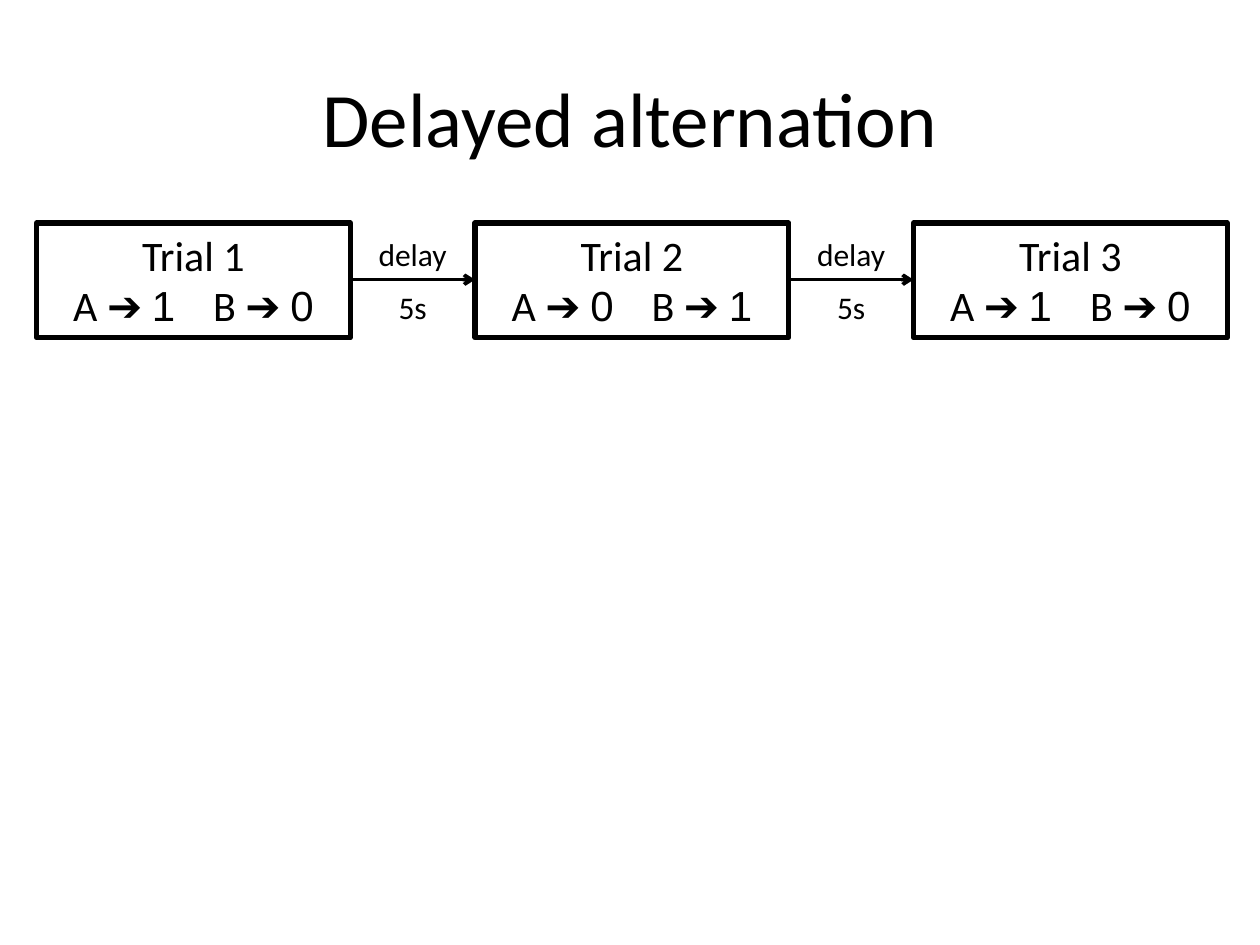
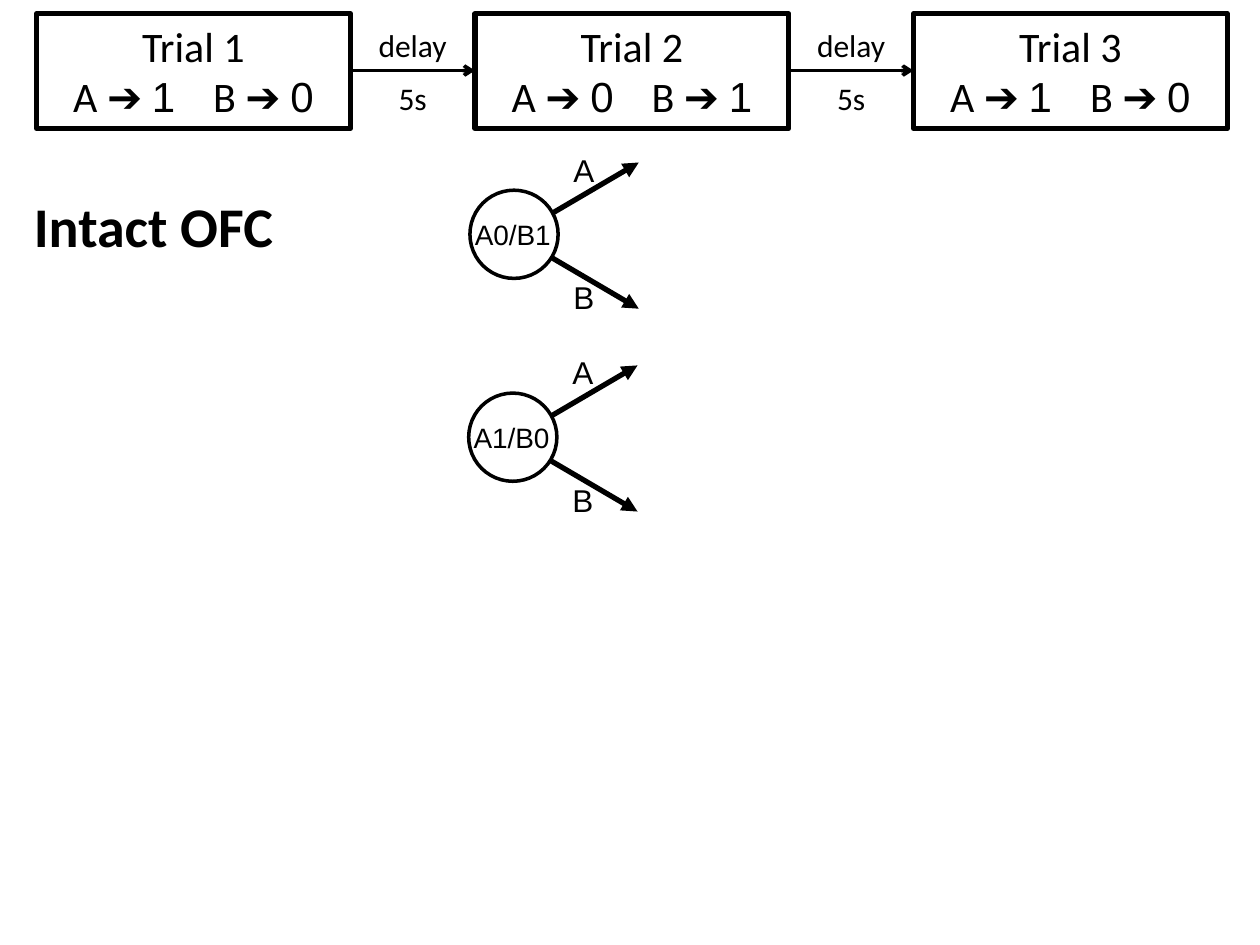
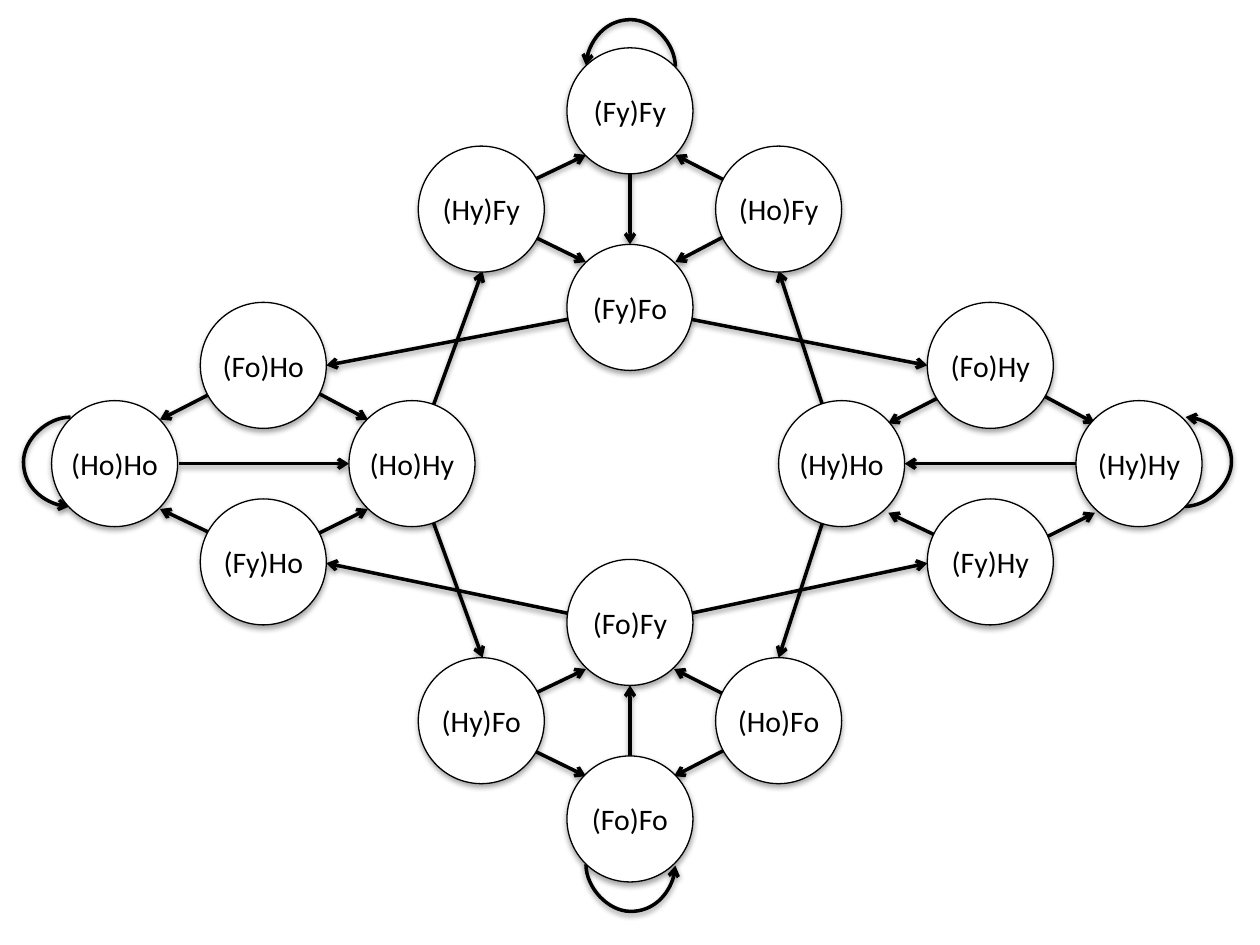
import pptx
import pptx.dml.color
import pptx.enum.shapes
import pptx.enum.text
import pptx.oxml.ns
import pptx.util
from lxml import etree

PX = 9144  # EMU per px, 100 px to the inch
COLORS = {"ink": "000000", "paper": "FFFFFF"}
BODY, LABEL = "Calibri", "Arial"
SHAPES = pptx.enum.shapes.MSO_SHAPE
CONNECTORS = pptx.enum.shapes.MSO_CONNECTOR
ANCHOR = pptx.enum.text.MSO_ANCHOR
ALIGN = pptx.enum.text.PP_ALIGN


def emu(*lengths):
    return [pptx.util.Emu(n * PX) for n in lengths]


def color(name):
    return pptx.dml.color.RGBColor.from_string(COLORS[name])


def child(parent, tag, **attrs):
    return etree.SubElement(parent, pptx.oxml.ns.qn(tag), attrs)


class Deck:
    def __init__(self):
        self.prs = pptx.Presentation()
        self.prs.slide_width, self.prs.slide_height = emu(1000, 750)
        self.s = None

    def slide(self):
        self.s = self.prs.slides.add_slide(self.prs.slide_layouts[6])

    def fill_text(self, sp, paragraphs, size, font=BODY, bold=False,
                  align=ALIGN.CENTER, anchor=ANCHOR.MIDDLE, inset=0):
        """Each paragraph is a list of (text, font, letter spacing) runs or a string."""
        tf = sp.text_frame
        tf.word_wrap = True
        tf.vertical_anchor = anchor
        tf.margin_left, tf.margin_right = emu(inset, inset)
        for i, runs in enumerate(paragraphs):
            p = tf.paragraphs[0] if i == 0 else tf.add_paragraph()
            p.alignment = align
            if isinstance(runs, str):
                runs = [(runs, font, 0)]
            for text, face, spacing in runs:
                r = p.add_run()
                r.text = text
                r.font.name, r.font.size, r.font.bold = face, pptx.util.Pt(size), bold
                r.font.color.rgb = color("ink")
                if spacing:
                    r._r.get_or_add_rPr().set("spc", str(spacing))

    def text(self, x, y, w, h, text, size, **style):
        self.fill_text(self.s.shapes.add_textbox(*emu(x, y, w, h)), [text], size, **style)

    def shadow(self, spPr, dist, alpha):
        effects = spPr.find(pptx.oxml.ns.qn("a:effectLst"))
        outer = child(effects, "a:outerShdw", blurRad="40000", dist=str(dist),
                      dir="5400000", rotWithShape="0")
        child(child(outer, "a:srgbClr", val=COLORS["ink"]), "a:alpha", val=str(alpha))

    def shape(self, kind, x, y, w, h, width, fill=None, shadow=False):
        sp = self.s.shapes.add_shape(kind, *emu(x, y, w, h))
        sp.shadow.inherit = False
        if fill:
            sp.fill.solid()
            sp.fill.fore_color.rgb = color(fill)
        else:
            sp.fill.background()
        sp.line.color.rgb = color("ink")
        sp.line.width = pptx.util.Pt(width)
        if shadow:
            self.shadow(sp._element.spPr, 23000, 35000)
        return sp

    def arrow(self, start, end, width=2, head="arrow", shadow=False,
              kind=CONNECTORS.STRAIGHT):
        c = self.s.shapes.add_connector(kind, *emu(*start, *end))
        c.line.color.rgb = color("ink")
        c.line.width = pptx.util.Pt(width)
        spPr = c._element.spPr
        child(spPr.find(pptx.oxml.ns.qn("a:ln")), "a:tailEnd", type=head)
        child(spPr, "a:effectLst")
        if shadow:
            self.shadow(spPr, 20000, 38000)
        return c

    def loop(self, start, end, turn):
        """A curve bulging 38 px out of a frame 1 px wide, turned in degrees."""
        c = self.arrow(start, end, shadow=True, kind=CONNECTORS.CURVE)
        spPr = c._element.spPr
        spPr.find(pptx.oxml.ns.qn("a:xfrm")).set("rot", str(turn * 60000))
        guides = spPr.find(".//" + pptx.oxml.ns.qn("a:avLst"))
        child(guides, "a:gd", name="adj1", fmla="val 3800000")

    def trials(self, y):
        """Three trial boxes joined by delay arrows."""
        left, pitch, w = 29, 348, 249
        for i, (a, b) in enumerate([("1", "0"), ("0", "1"), ("1", "0")]):
            x = left + i * pitch
            sp = self.shape(SHAPES.RECTANGLE, x, y, w, 91, 3)
            rewards = [("A ➔ ", BODY, 0), (a, LABEL, 0), (" ", BODY, 1630),
                       ("B ➔ ", BODY, 0), (b, LABEL, 0)]
            self.fill_text(sp, [f"Trial {i + 1}", rewards], 24, anchor=ANCHOR.TOP)
            if i < 2:
                gap = x + w
                self.arrow((gap, y + 45), (x + pitch, y + 45))
                self.text(gap, y + 5, 99, 40, "delay", 18, anchor=ANCHOR.TOP)
                self.text(gap, y + 47, 99, 40, "5s", 18, anchor=ANCHOR.TOP)

    def choice(self, x, y, state):
        """A state circle with one arrow for each option."""
        for option, label_y, tip_y in [("B", 67, 94), ("A", -34, -22)]:
            self.text(x + 73, y + label_y, 35, 35, option, 18, font=LABEL)
            self.arrow((x + 35, y + 36), (x + 134, y + tip_y), 3, "triangle")
        self.shape(SHAPES.OVAL, x, y, 70, 70, 2, fill="paper")
        self.text(x - 12, y, 92, 70, state, 16, font=LABEL)

    def node(self, x, y, state):
        sp = self.shape(SHAPES.OVAL, x, y, 100, 100, 0.75, fill="paper", shadow=True)
        self.fill_text(sp, [state], 17)


# State clusters: corner of the cluster, then north, south, east, west states
CLUSTERS = [
    (450, 116, ["(Fy)Fy", "(Fy)Fo", "(Ho)Fy", "(Hy)Fy"]),
    (450, 522, ["(Fo)Fy", "(Fo)Fo", "(Ho)Fo", "(Hy)Fo"]),
    (159, 318, ["(Fo)Ho", "(Fy)Ho", "(Ho)Hy", "(Ho)Ho"]),
    (736, 318, ["(Fo)Hy", "(Fy)Hy", "(Hy)Hy", "(Hy)Ho"]),
]
COMPASS = [(0, -78), (0, 78), (118, 0), (-118, 0)]

# Transitions: start point and the points it leads to
TRANSITIONS = {
    (500, 138): [(500, 194)],
    (618, 165): [(536, 208), (536, 123)],
    (377, 165): [(465, 123), (465, 208)],
    (500, 244): [(259, 290), (736, 290)],
    (211, 290): [(292, 333), (127, 333)],
    (142, 368): [(277, 368)],
    (211, 444): [(292, 404), (127, 404)],
    (327, 368): [(383, 215), (383, 522)],
    (668, 368): [(618, 215), (618, 522)],
    (500, 497): [(736, 447), (259, 447)],
    (618, 573): [(535, 616), (535, 531)],
    (377, 573): [(465, 531), (465, 616)],
    (500, 601): [(500, 544)],
    (789, 293): [(869, 336), (705, 336)],
    (789, 447): [(869, 407), (705, 407)],
    (854, 368): [(718, 368)],
}

# Self-transitions: frame diagonal before turning, and the turn
LOOPS = [
    ((500, 88), (501, 17), 270),
    ((501, 651), (500, 722), 270),
    ((55, 402), (56, 331), 180),
    ((940, 402), (941, 331), 0),
]


def main():
    deck = Deck()

    # Task
    deck.slide()
    deck.text(50, 30, 900, 125, "Delayed alternation", 44)
    deck.trials(177)

    # Choices with an intact OFC
    deck.slide()
    deck.choice(373, 151, "A0/B1")
    deck.trials(11)
    deck.choice(372, 312, "A1/B0")
    deck.text(17, 147, 324, 64, "Intact OFC", 32, bold=True,
              align=ALIGN.LEFT, anchor=ANCHOR.TOP, inset=10)

    # State graph
    deck.slide()
    for start, end, turn in LOOPS:
        deck.loop(start, end, turn)
    for start, ends in TRANSITIONS.items():
        for end in ends:
            deck.arrow(start, end, shadow=True)
    for x, y, states in CLUSTERS:
        for (dx, dy), state in zip(COMPASS, states):
            deck.node(x + dx, y + dy, state)

    deck.prs.save("out.pptx")


if __name__ == "__main__":
    main()
